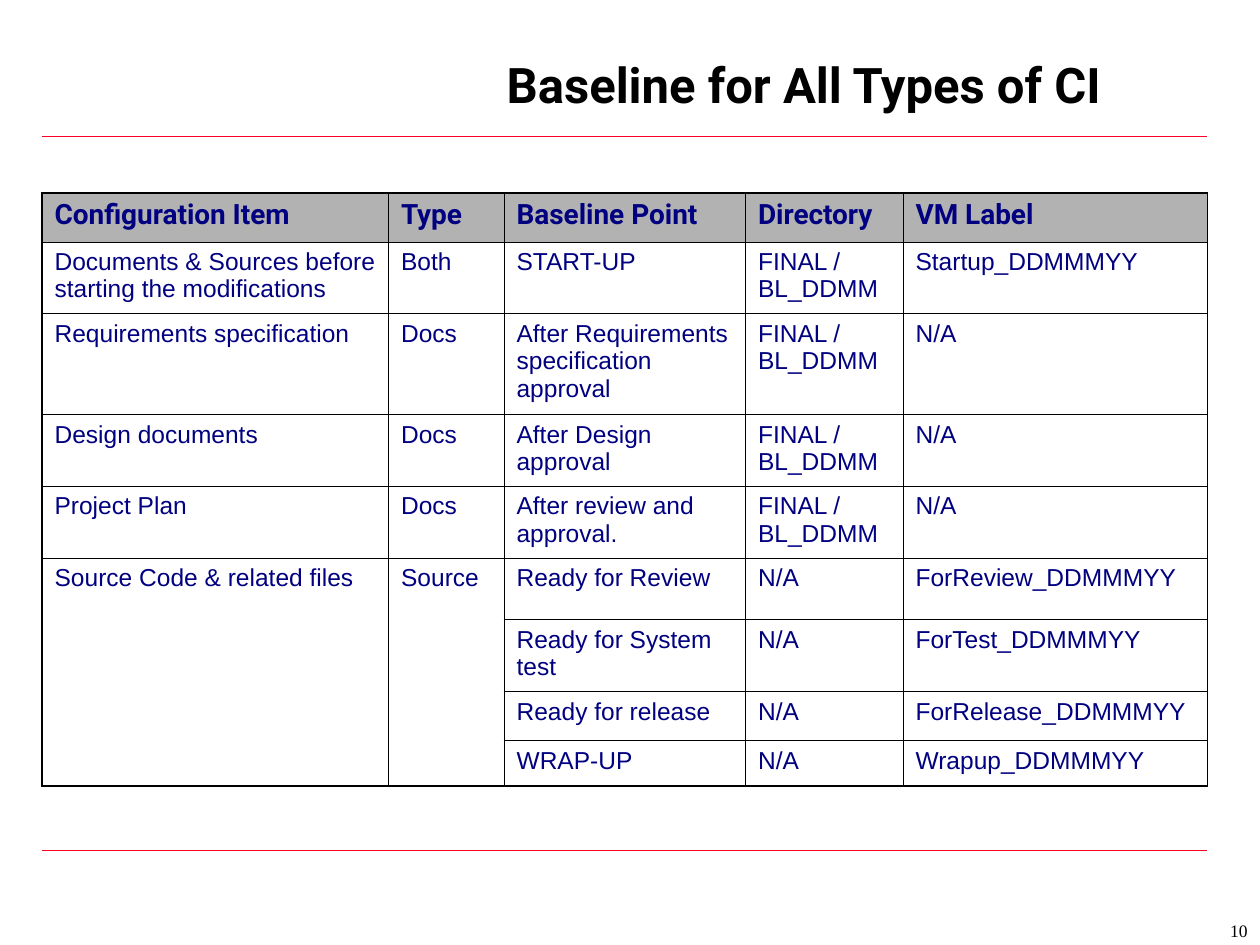
from lxml import etree
from pptx import Presentation
from pptx.dml.color import RGBColor
from pptx.enum.shapes import MSO_CONNECTOR
from pptx.enum.text import MSO_ANCHOR, PP_ALIGN
from pptx.oxml.ns import qn
from pptx.util import Inches, Pt

STRAIGHT = MSO_CONNECTOR.STRAIGHT
RIGHT = PP_ALIGN.RIGHT
MIDDLE, TOP = MSO_ANCHOR.MIDDLE, MSO_ANCHOR.TOP

COLORS = {"rule": "FC0128", "black": "000000", "navy": "000080", "header": "B2B2B2"}
HEADING_FONT, BODY_FONT, NUMBER_FONT = "Roboto", "Arial", "Times New Roman"
THIN, THICK = 0.45, 1.08

GRID_COLUMNS, GRID_ROWS = 120, 90
MARGIN, CONTENT_WIDTH = 4, 111

COLUMN_WIDTHS = [33, 11, 23, 15, 29]
ROW_HEIGHTS = [4.68, 6.84, 9.6, 6.84, 6.84, 5.88, 6.84, 4.68, 4.32]
FINAL_DIRECTORY = "FINAL / BL_DDMM"
BASELINES = [
    ["Configuration Item", "Type", "Baseline Point", "Directory", "VM Label"],
    ["Documents & Sources before starting the modifications", "Both", "START-UP",
     FINAL_DIRECTORY, "Startup_DDMMMYY"],
    ["Requirements specification", "Docs", "After Requirements specification approval",
     FINAL_DIRECTORY, "N/A"],
    ["Design documents", "Docs", "After Design approval", FINAL_DIRECTORY, "N/A"],
    ["Project Plan", "Docs", "After review and approval.", FINAL_DIRECTORY, "N/A"],
    ["Source Code & related files", "Source", "Ready for Review", "N/A", "ForReview_DDMMMYY"],
    ["", "", "Ready for System test", "N/A", "ForTest_DDMMMYY"],
    ["", "", "Ready for release", "N/A", "ForRelease_DDMMMYY"],
    ["", "", "WRAP-UP", "N/A", "Wrapup_DDMMMYY"],
]
SOURCE_ROW = 5


def rgb(name):
    return RGBColor.from_string(COLORS[name])


class SlideBuilder:
    """Draws styled elements on a slide, placed in grid columns and rows."""

    def __init__(self, presentation):
        self.column = presentation.slide_width / GRID_COLUMNS
        self.row = presentation.slide_height / GRID_ROWS
        self.slide = presentation.slides.add_slide(presentation.slide_layouts[6])

    def place(self, left, top, width, height):
        return (round(left * self.column), round(top * self.row),
                round(width * self.column), round(height * self.row))

    def style(self, paragraph, font_name, size, color, bold=False):
        font = paragraph.font
        font.name, font.size, font.bold = font_name, Pt(size), bold
        font.color.rgb = rgb(color)

    def rule(self, row):
        left, y, right, _ = self.place(MARGIN, row, MARGIN + CONTENT_WIDTH, 0)
        line = self.slide.shapes.add_connector(STRAIGHT, left, y, right, y)
        line.line.color.rgb = rgb("rule")
        line.line.width = Pt(0.75)
        etree.SubElement(line._element.spPr, qn("a:effectLst"))

    def right_text(self, text, area, anchor, font_name, size, bold=False):
        frame = self.slide.shapes.add_textbox(*self.place(*area)).text_frame
        frame.word_wrap = True
        frame.vertical_anchor = anchor
        paragraph = frame.paragraphs[0]
        paragraph.text = text
        paragraph.alignment = RIGHT
        self.style(paragraph, font_name, size, "black", bold)

    def borders(self, cell, widths):
        """Set border widths in points, in the order left, right, top, bottom."""
        properties = cell._tc.get_or_add_tcPr()
        for side, width in zip("LRTB", widths):
            line = etree.SubElement(properties, qn(f"a:ln{side}"), w=str(int(Pt(width))))
            fill = etree.SubElement(line, qn("a:solidFill"))
            etree.SubElement(fill, qn("a:srgbClr"), val=COLORS["black"])

    def table(self, rows, top, widths, heights, merged_columns, merged_row):
        area = self.place(MARGIN, top, sum(widths), sum(heights))
        table = self.slide.shapes.add_table(len(rows), len(widths), *area).table
        table.first_row = table.horz_banding = False
        for column, width in zip(table.columns, widths):
            column.width = round(width * self.column)
        for row, height in zip(table.rows, heights):
            row.height = round(height * self.row)
        last_row, last_column = len(rows) - 1, len(widths) - 1
        for index in merged_columns:
            table.cell(merged_row, index).merge(table.cell(last_row, index))

        for row_index, row in enumerate(rows):
            for column_index, text in enumerate(row):
                cell = table.cell(row_index, column_index)
                bottom_row = row_index + (cell.span_height if cell.is_merge_origin else 1) - 1
                outer = (column_index == 0, column_index == last_column,
                         row_index == 0, bottom_row == last_row)
                self.borders(cell, [THICK if edge else THIN for edge in outer])
                paragraph = cell.text_frame.paragraphs[0]
                paragraph.text = text
                if row_index == 0:
                    cell.fill.solid()
                    cell.fill.fore_color.rgb = rgb("header")
                    paragraph.space_before = Pt(4)
                    self.style(paragraph, HEADING_FONT, 16, "navy", bold=True)
                else:
                    cell.fill.background()
                    paragraph.space_before = Pt(3.5)
                    self.style(paragraph, BODY_FONT, 14, "navy")


def main():
    presentation = Presentation()
    presentation.slide_width, presentation.slide_height = Inches(10), Inches(7.5)
    builder = SlideBuilder(presentation)
    for row in (13, 81):
        builder.rule(row)
    builder.right_text("Baseline for All Types of CI", (MARGIN, 3, 102, 10), MIDDLE,
                       HEADING_FONT, 28, bold=True)
    builder.table(BASELINES, 18.36, COLUMN_WIDTHS, ROW_HEIGHTS,
                  merged_columns=(0, 1), merged_row=SOURCE_ROW)
    builder.right_text("10", (95, 87, 25, 3), TOP, NUMBER_FONT, 10)
    presentation.save("out.pptx")


if __name__ == "__main__":
    main()
